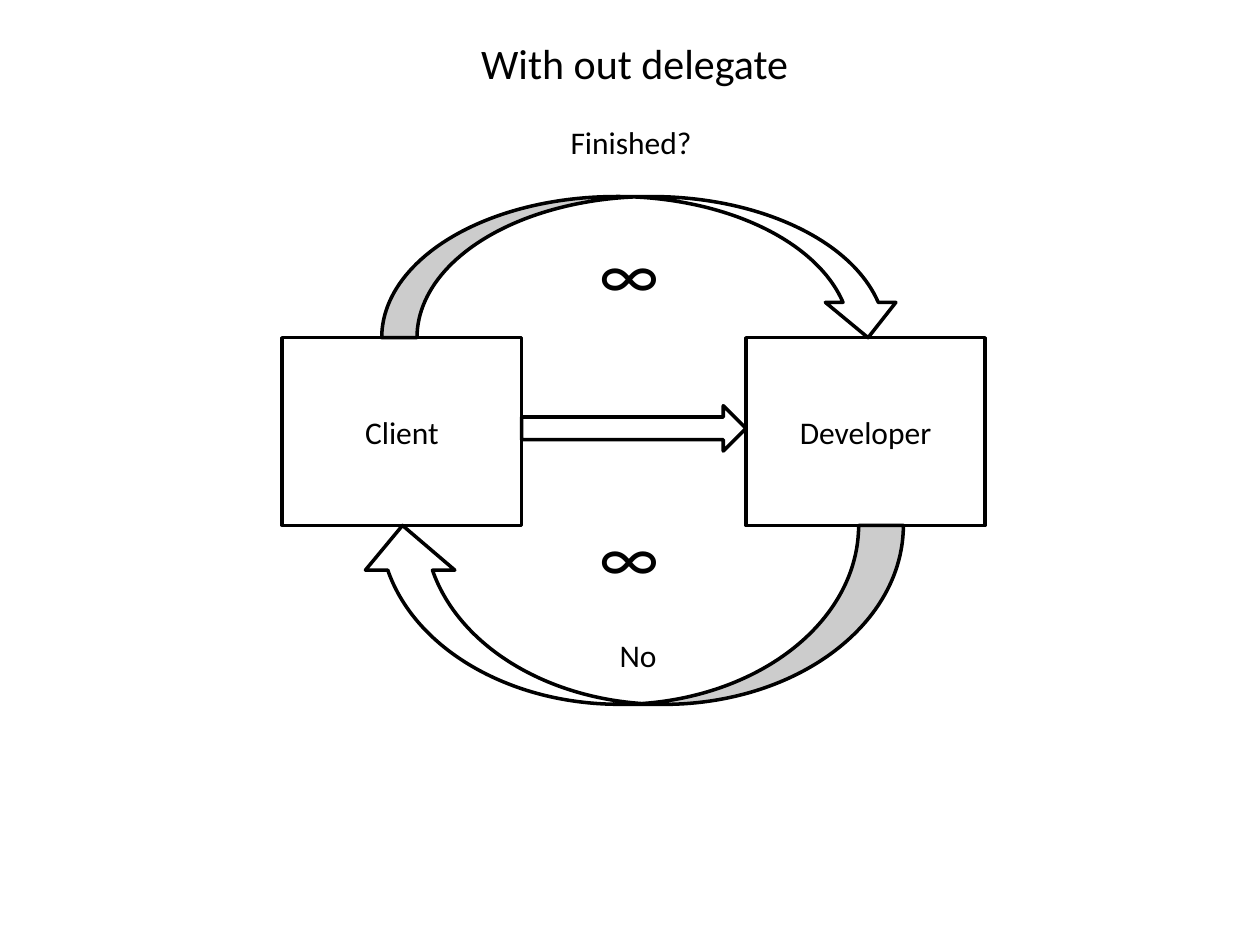
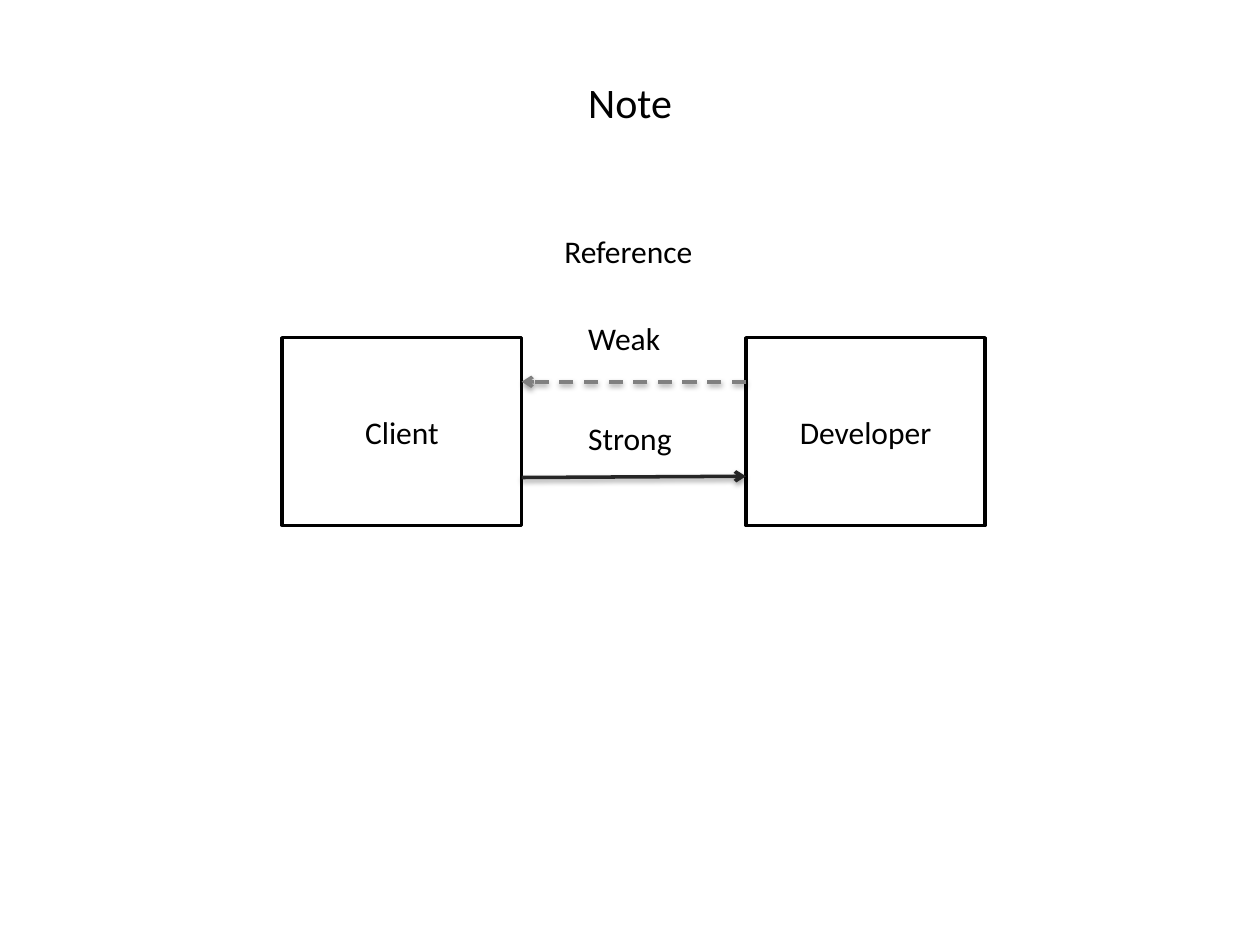
from lxml import etree
from pptx import Presentation
from pptx.dml.color import RGBColor
from pptx.enum.dml import MSO_LINE
from pptx.enum.shapes import MSO_CONNECTOR, MSO_SHAPE
from pptx.enum.text import MSO_ANCHOR, MSO_AUTO_SIZE, PP_ALIGN
from pptx.oxml.ns import qn
from pptx.util import Inches, Pt

BLACK = RGBColor(0x00, 0x00, 0x00)
WHITE = RGBColor(0xFF, 0xFF, 0xFF)
GREY = RGBColor(0x80, 0x80, 0x80)
CHARCOAL = RGBColor(0x26, 0x26, 0x26)

RECTANGLE = MSO_SHAPE.RECTANGLE
RIGHT_ARROW = MSO_SHAPE.RIGHT_ARROW
CURVED_DOWN = MSO_SHAPE.CURVED_DOWN_ARROW
CURVED_UP = MSO_SHAPE.CURVED_UP_ARROW
STRAIGHT = MSO_CONNECTOR.STRAIGHT
DASH = MSO_LINE.DASH
CENTER = PP_ALIGN.CENTER
MIDDLE = MSO_ANCHOR.MIDDLE
GROW = MSO_AUTO_SIZE.SHAPE_TO_FIT_TEXT

# The slide is a grid of 100 columns by 75 rows of square cells.
COLUMNS, ROWS = 100, 75
CELL = 0.1

# The two actors stand side by side in the same rows on every slide.
ACTOR_TOP, ACTOR_WIDTH, ACTOR_HEIGHT = 26.8, 19, 14.9
ACTOR_BOTTOM = ACTOR_TOP + ACTOR_HEIGHT
CLIENT_LEFT, DEVELOPER_LEFT = 22.4, 59.2
CLIENT_RIGHT = CLIENT_LEFT + ACTOR_WIDTH


def cells(count):
    return Inches(count * CELL)


class Diagram:
    font = "Calibri"
    title_size, label_size, symbol_size = 24, 18, 40
    line_width = Pt(2)

    def __init__(self):
        self.deck = Presentation()
        self.deck.slide_width = cells(COLUMNS)
        self.deck.slide_height = cells(ROWS)
        self.page = None

    def new_page(self):
        self.page = self.deck.slides.add_slide(self.deck.slide_layouts[6])
        background = self.page.background.fill
        background.solid()
        background.fore_color.rgb = WHITE

    def add_span(self, box, text, size):
        para = box.text_frame.paragraphs[0]
        span = para.add_run()
        span.text = text
        span.font.name = self.font
        span.font.size = Pt(size)
        span.font.color.rgb = BLACK
        return para

    def outline(self, kind, left, top, width, height, flipped=False):
        """Add a white preset shape with a black outline."""
        shape = self.page.shapes.add_shape(
            kind, cells(left), cells(top), cells(width), cells(height))
        shape.shadow.inherit = False
        shape.fill.solid()
        shape.fill.fore_color.rgb = WHITE
        shape.line.color.rgb = BLACK
        shape.line.width = self.line_width
        if flipped:
            shape.element.spPr.find(qn("a:xfrm")).set("flipH", "1")
        return shape

    def actors(self):
        for name, left in (("Client", CLIENT_LEFT), ("Developer", DEVELOPER_LEFT)):
            box = self.outline(RECTANGLE, left, ACTOR_TOP, ACTOR_WIDTH, ACTOR_HEIGHT)
            box.text_frame.vertical_anchor = MIDDLE
            self.add_span(box, name, self.label_size).alignment = CENTER

    def text(self, text, left, top, width, height, size, wrap=False):
        box = self.page.shapes.add_textbox(
            cells(left), cells(top), cells(width), cells(height))
        box.text_frame.word_wrap = wrap
        box.text_frame.auto_size = GROW
        self.add_span(box, text, size)

    def title(self, text, left, top, width):
        self.text(text, left, top, width, 5, self.title_size)

    def label(self, text, left, top, width):
        self.text(text, left, top, width, 4, self.label_size)

    def infinity(self, top):
        self.text("∞", 46.6, top, 7.5, 7.7, self.symbol_size, wrap=True)

    def reference(self, start, end, color, dash=None):
        """Draw a thin arrow with a soft shadow from start to end."""
        arrow = self.page.shapes.add_connector(
            STRAIGHT, *(cells(count) for count in (*start, *end)))
        arrow.line.color.rgb = color
        arrow.line.width = self.line_width
        if dash is not None:
            arrow.line.dash_style = dash
        properties = arrow.element.spPr
        etree.SubElement(properties.find(qn("a:ln")), qn("a:tailEnd"), type="arrow")
        effects = etree.SubElement(properties, qn("a:effectLst"))
        shadow = etree.SubElement(
            effects, qn("a:outerShdw"), blurRad=str(Pt(3.1)), dist=str(Pt(1.6)),
            dir="5400000", rotWithShape="0")
        tint = etree.SubElement(shadow, qn("a:srgbClr"), val=str(BLACK))
        etree.SubElement(tint, qn("a:alpha"), val="38000")


def polling_page(diagram):
    diagram.new_page()
    diagram.actors()
    diagram.outline(RIGHT_ARROW, CLIENT_RIGHT, 32.2, DEVELOPER_LEFT - CLIENT_RIGHT, 3.6)
    diagram.outline(CURVED_DOWN, 30.3, ACTOR_TOP - 11.2, 41.4, 11.2)
    diagram.outline(CURVED_UP, 28.4, ACTOR_BOTTOM, 43.3, 14.2, flipped=True)
    diagram.label("No", 48.2, 50, 5)
    diagram.label("Finished?", 44.3, 9.3, 11.7)
    diagram.title("With out delegate", 37.2, 2.5, 26.8)
    for top in (40.2, 17.7):
        diagram.infinity(top)


def reference_page(diagram):
    diagram.new_page()
    diagram.actors()
    diagram.title("Note", 45.7, 5.6, 8.8)
    diagram.reference((DEVELOPER_LEFT, 30.3), (CLIENT_RIGHT, 30.3), GREY, DASH)
    diagram.label("Weak", 45.7, 24.8, 7.9)
    diagram.reference((CLIENT_RIGHT, 37.9), (DEVELOPER_LEFT, 37.8), CHARCOAL)
    diagram.label("Strong", 45.7, 32.8, 8.8)
    diagram.label("Reference", 43.8, 17.9, 12.5)


def main():
    diagram = Diagram()
    polling_page(diagram)
    reference_page(diagram)
    diagram.deck.save("out.pptx")


if __name__ == "__main__":
    main()
